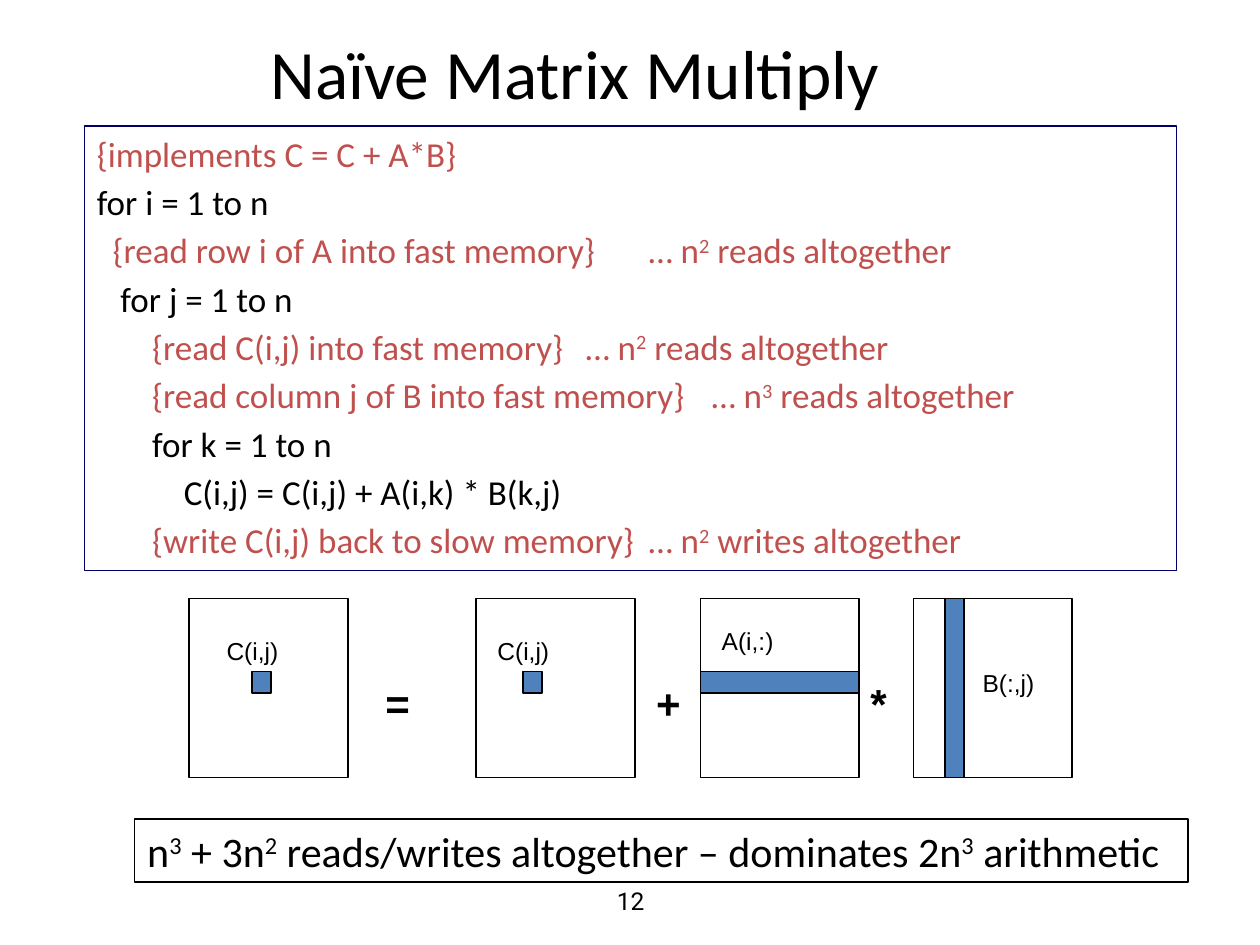
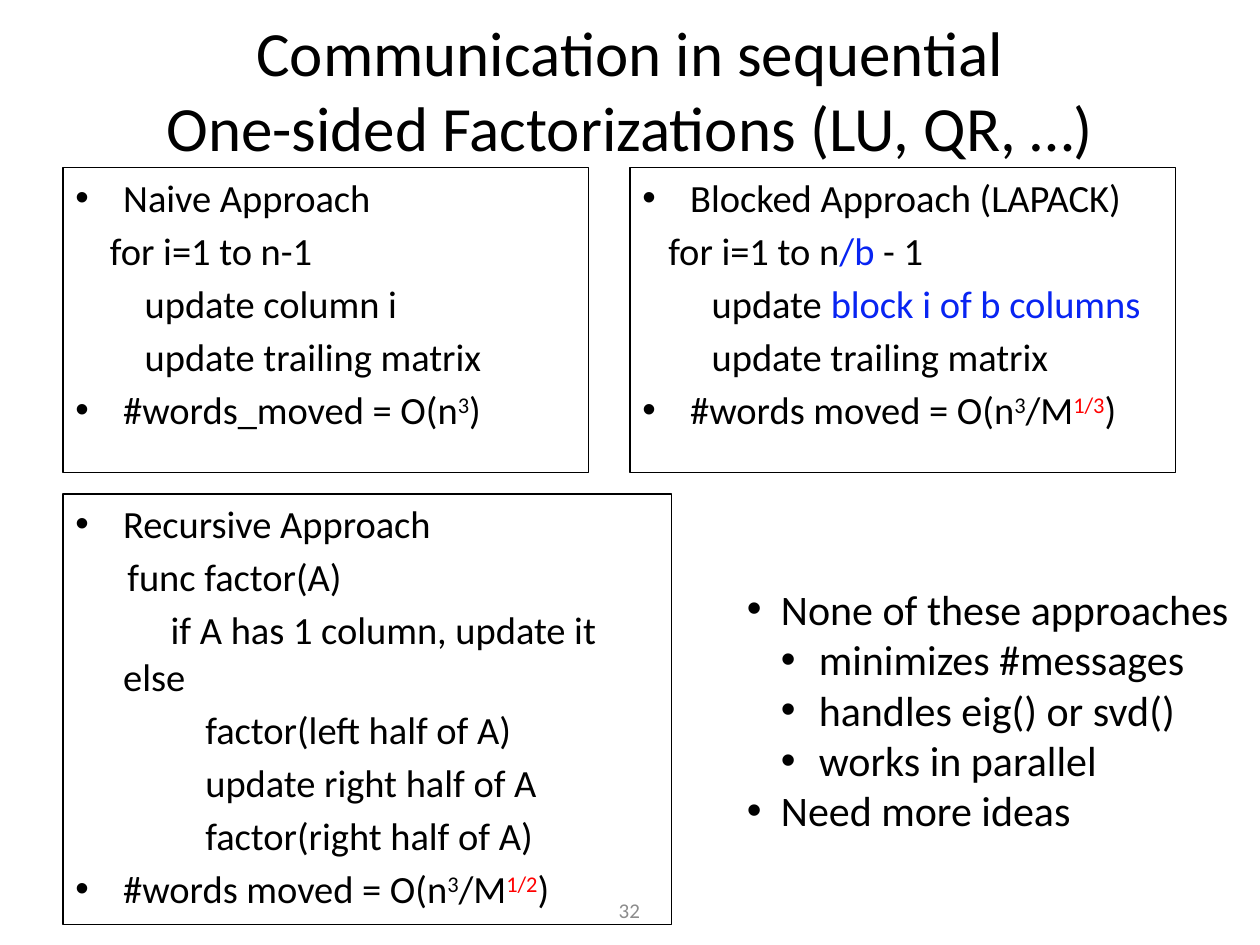
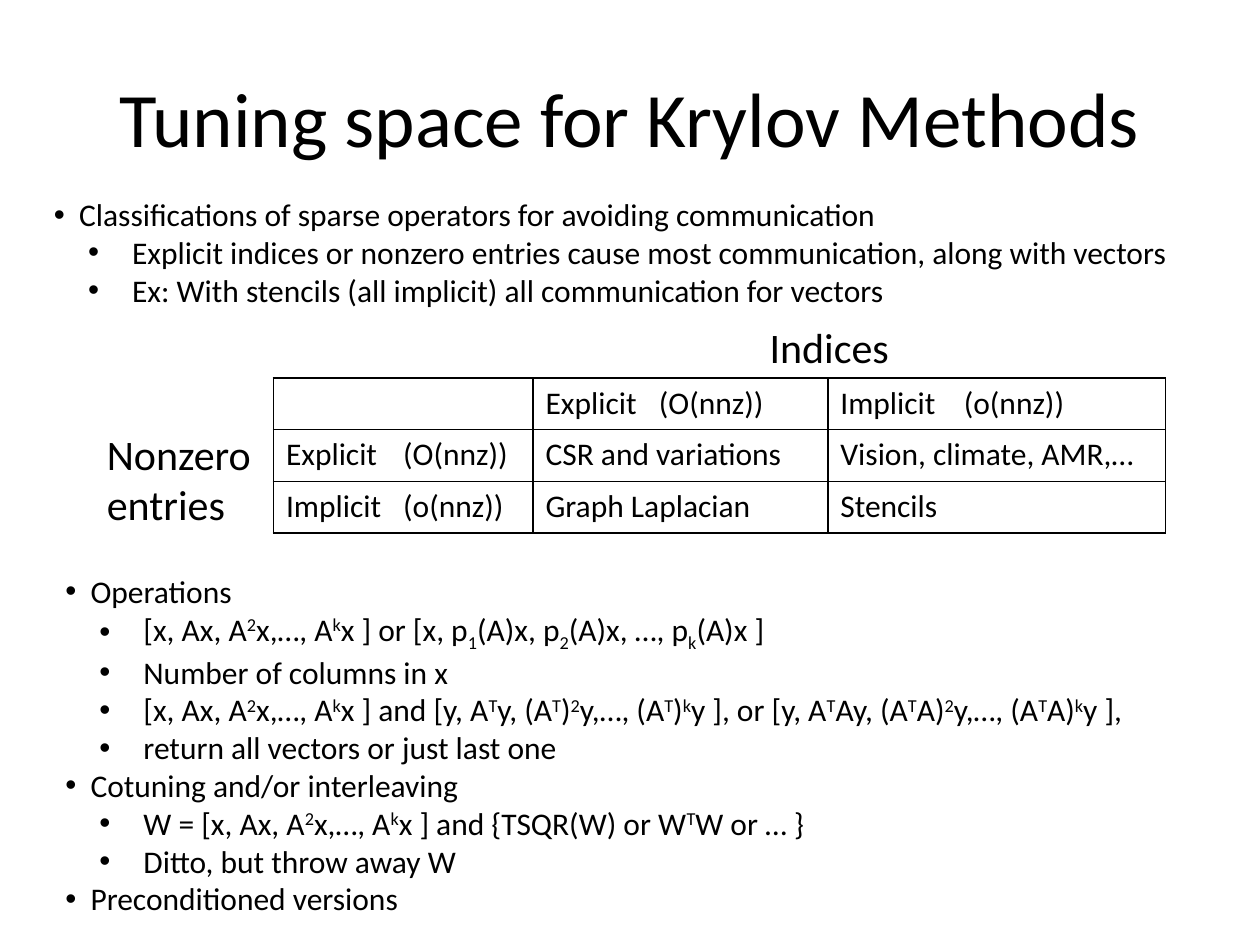
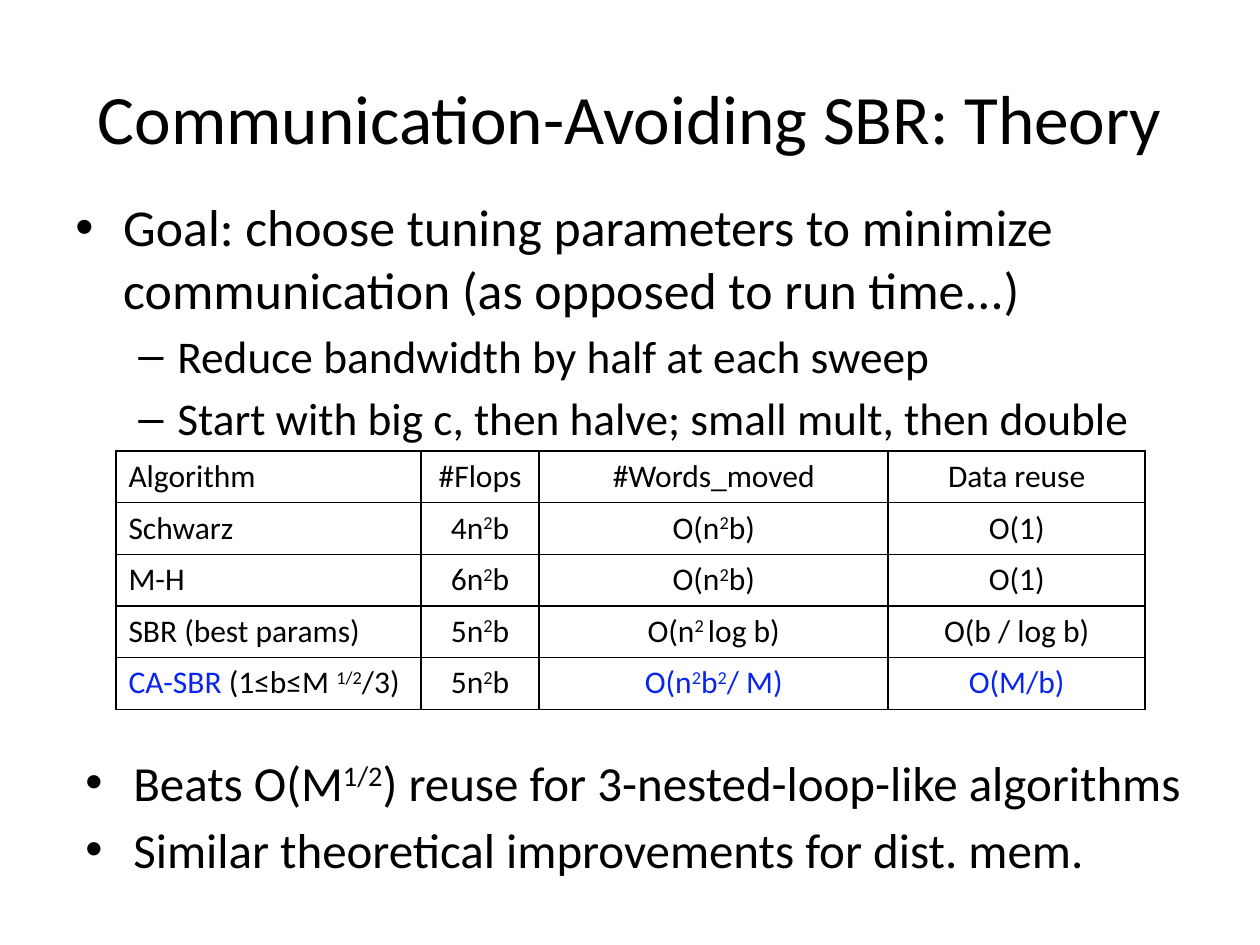
from itertools import groupby

from lxml import etree
from pptx import Presentation
from pptx import util as u
from pptx.dml.color import RGBColor
from pptx.enum import shapes, text
from pptx.oxml.ns import qn

BLACK, WHITE, GREY = "000000", "FFFFFF", "8C8C8C"
BLUE, RED, BRICK = "0824F2", "FF0000", "C0504D"
NAVY, STEEL = "000066", "4F81BD"

# Inline marks, each switching a style on and off
BASELINES = {"^": 30000, "~": -25000}
COLORS = {"|": BLUE, "¦": RED}

# Paragraph styles: bullet, left indent and hanging part in inches
PLAIN = {}
BULLET = dict(bullet="•", left=0.38, hang=0.38)
DASH = dict(bullet="–", left=0.81, hang=0.31)
CODE = dict(left=0.38, hang=0.38)
NOTE = dict(CODE, color=BRICK, tab=5.02)
OUTER = dict(bullet="•", left=0.2, hang=0.2)
INNER = dict(bullet="•", left=0.62, hang=0.35)
WIDE_OUTER = dict(bullet="•", left=0.27, hang=0.27)
WIDE_INNER = dict(bullet="•", left=0.57, hang=0.3)
CENTER = dict(align=text.PP_ALIGN.CENTER)


def rgb(value):
    return RGBColor.from_string(value)


def marked(content):
    """Yield each character with the marks that are switched on."""
    active = frozenset()
    for char in content:
        if char in BASELINES or char in COLORS:
            active ^= {char}
        else:
            yield active, char


class Pages:
    def __init__(self):
        self.deck = Presentation()
        self.deck.slide_width, self.deck.slide_height = u.Inches(10), u.Inches(7.5)
        self.page = None

    def new_page(self, title, size, at=(0.5, 0.3, 9, 1.25)):
        self.page = self.deck.slides.add_slide(self.deck.slide_layouts[6])
        self.text(at, [(title, CENTER)], size, anchor=text.MSO_ANCHOR.MIDDLE)

    def number(self, value, at, size, font="Calibri", color=BLACK):
        self.text(at, [(value, dict(CENTER, color=color))], size, font,
                  anchor=text.MSO_ANCHOR.MIDDLE)

    def paragraph(self, para, content, style, size, font="Calibri", bold=False):
        props = para._p.get_or_add_pPr()
        if "left" in style:
            props.set("marL", str(u.Inches(style["left"])))
            props.set("indent", str(-u.Inches(style["hang"])))
        if "bullet" in style:
            etree.SubElement(props, qn("a:buFont"), typeface="Arial")
            etree.SubElement(props, qn("a:buChar"), char=style["bullet"])
        if "tab" in style:
            tabs = etree.SubElement(props, qn("a:tabLst"))
            etree.SubElement(tabs, qn("a:tab"), pos=str(u.Inches(style["tab"])), algn="l")
        para.alignment = style.get("align", text.PP_ALIGN.LEFT)
        para.font.name, para.font.size, para.font.bold = font, u.Pt(size), bold
        para.font.color.rgb = rgb(style.get("color", BLACK))
        for row, line in enumerate(content.split("\n")):
            if row:
                para.add_line_break()
            for marks, chars in groupby(marked(line), key=lambda pair: pair[0]):
                span = para.add_run()
                span.text = "".join(char for _, char in chars)
                for mark in marks:
                    if mark in COLORS:
                        span.font.color.rgb = rgb(COLORS[mark])
                    else:
                        span._r.get_or_add_rPr().set("baseline", str(BASELINES[mark]))

    def fill_frame(self, frame, lines, size, font="Calibri", bold=False, spaced=False):
        """Lines are (text, style) or (text, style, size)."""
        frame.word_wrap = True
        for index, (content, style, *own_size) in enumerate(lines):
            para = frame.add_paragraph() if index else frame.paragraphs[0]
            points = own_size[0] if own_size else size
            self.paragraph(para, content, style, points, font, bold)
            if index and spaced:
                para.space_before = u.Pt(round(0.18 * points, 1))

    def text(self, at, lines, size, font="Calibri", bold=False, spaced=False,
             anchor=text.MSO_ANCHOR.TOP):
        box = self.page.shapes.add_textbox(*map(u.Inches, at))
        box.text_frame.vertical_anchor = anchor
        self.fill_frame(box.text_frame, lines, size, font, bold, spaced)

    def box(self, at, lines=(), size=22, fill=None, line=BLACK, width=0.75):
        box = self.page.shapes.add_shape(shapes.MSO_SHAPE.RECTANGLE, *map(u.Inches, at))
        box.shadow.inherit = False
        box.line.color.rgb, box.line.width = rgb(line), u.Pt(width)
        if fill:
            box.fill.solid()
            box.fill.fore_color.rgb = rgb(fill)
        else:
            box.fill.background()
        box.text_frame.vertical_anchor = text.MSO_ANCHOR.TOP
        self.fill_frame(box.text_frame, lines, size, spaced=True)

    def table(self, left, top, widths, rows, styles, row_height=0.41, size=18):
        """One paragraph style per column."""
        grid = self.page.shapes.add_table(
            len(rows), len(widths), u.Inches(left), u.Inches(top),
            u.Inches(sum(widths)), u.Inches(row_height * len(rows))).table
        grid.first_row = grid.horz_banding = False
        for column, width in zip(grid.columns, widths):
            column.width = u.Inches(width)
        for r, row in enumerate(rows):
            grid.rows[r].height = u.Inches(row_height)
            for c, content in enumerate(row):
                cell = grid.cell(r, c)
                self.borders(cell)
                cell.fill.solid()
                cell.fill.fore_color.rgb = rgb(WHITE)
                self.paragraph(cell.text_frame.paragraphs[0], content, styles[c], size)

    def borders(self, cell):
        props = cell._tc.get_or_add_tcPr()
        for side in ("a:lnL", "a:lnR", "a:lnT", "a:lnB"):
            edge = etree.SubElement(props, qn(side), w=str(u.Pt(1)))
            fill = etree.SubElement(edge, qn("a:solidFill"))
            etree.SubElement(fill, qn("a:srgbClr"), val=BLACK)


def naive_multiply(pages):
    pages.new_page("Naïve Matrix Multiply", 39.6, (0.88, 0.34, 7.37, 0.46))
    pages.number("12", (3.42, 6.95, 3.17, 0.4), 14, "Roboto")
    pages.box((0.67, 1, 8.67, 3.53), [
        ("{implements C = C + A*B}", NOTE),
        ("for i = 1 to n", CODE),
        ("  {read row i of A into fast memory}\t… n^2^ reads altogether", NOTE),
        ("   for j = 1 to n", CODE),
        ("       {read C(i,j) into fast memory}\t… n^2^ reads altogether", NOTE),
        ("       {read column j of B into fast memory}\t… n^3^ reads altogether", NOTE),
        ("       for k = 1 to n", CODE),
        ("           C(i,j) = C(i,j) + A(i,k) * B(k,j)", CODE),
        ("       {write C(i,j) back to slow memory}\t… n^2^ writes altogether", NOTE),
    ], 20, line=NAVY)

    # Matrices: left edge, highlighted part, label and label corner
    top, width, height = 4.75, 1.26, 1.42
    matrices = [
        (1.5, (2, 5.33, 0.15, 0.17), "C(i,j)", (1.7, 5)),
        (3.78, (4.15, 5.33, 0.15, 0.17), "C(i,j)", (3.85, 5)),
        (5.56, (5.56, 5.33, width, 0.17), "A(i,:)", (5.63, 4.92)),
        (7.25, (7.5, top, 0.15, height), "B(:,j)", (7.7, 5.25)),
    ]
    for left, part, label, corner in matrices:
        pages.box((left, top, width, height), width=1)
        pages.box(part, fill=STEEL, width=1)
        pages.text((*corner, 0.74, 0.33), [(label, PLAIN)], 14, "Arial")
    for left, operator in ((2.96, "="), (5.11, "+"), (6.81, "*")):
        pages.text((left, 5.33, 0.4, 0.5), [(operator, PLAIN)], 24, "Arial", bold=True)

    pages.box((1.07, 6.5, 8.36, 0.5), [
        ("n^3^ + 3n^2^ reads/writes altogether – dominates 2n^3^ arithmetic", PLAIN)], 24)


def factorizations(pages):
    pages.new_page("Communication in sequential\nOne-sided Factorizations (LU, QR, …)",
                   36, (0.25, 0.08, 9.5, 1.25))
    pages.box((0.5, 1.33, 4.17, 2.42), [
        ("Naive Approach", BULLET),
        ("    for i=1 to n-1", CODE),
        ("        update column i", CODE),
        ("        update trailing matrix", CODE),
        ("#words_moved = O(n^3^)", BULLET),
    ])
    pages.number("32", (3.83, 7.02, 2.33, 0.4), 12, color=GREY)
    pages.box((5, 1.33, 4.33, 2.42), [
        ("Blocked Approach (LAPACK)", BULLET),
        ("   for i=1 to n|/b |- 1", CODE),
        ("        update |block i of b columns|", CODE),
        ("        update trailing matrix", CODE),
        ("#words moved = O(n^3^/M^¦1/3¦^)", BULLET),
    ])
    pages.box((0.5, 3.92, 4.83, 3.42), [
        ("Recursive Approach", BULLET),
        ("      func factor(A)", CODE),
        ("           if A has 1 column, update it else", CODE),
        ("               factor(left half of A)", CODE),
        ("               update right half of A", CODE),
        ("               factor(right half of A)", CODE),
        ("#words moved = O(n^3^/M^¦1/2¦^)", BULLET),
    ])
    pages.text((5.83, 4.58, 4.17, 2.12), [
        ("None of these approaches", WIDE_OUTER),
        ("minimizes #messages", WIDE_INNER),
        ("handles eig() or svd()", WIDE_INNER),
        ("works in parallel", WIDE_INNER),
        ("Need more ideas", WIDE_OUTER),
    ], 24)


def krylov(pages):
    pages.new_page("Tuning space for Krylov Methods", 44)
    pages.table(2.17, 3, (2.06, 2.34, 2.68), [
        ("", "Explicit\t(O(nnz))", "Implicit\t(o(nnz))"),
        ("Explicit\t(O(nnz))", "CSR and variations", "Vision, climate, AMR,…"),
        ("Implicit\t(o(nnz))", "Graph Laplacian", "Stencils"),
    ], [dict(tab=0.93), dict(tab=0.9), dict(tab=0.98)])
    pages.text((0.75, 3.35, 1.43, 0.91), [("Nonzero", PLAIN), ("entries", PLAIN)], 24)
    pages.text((6.01, 2.5, 1.16, 0.5), [("Indices", PLAIN)], 24)
    pages.text((0.33, 1.5, 9.39, 1.01), [
        ("Classifications of sparse operators for avoiding communication", OUTER),
        ("Explicit indices or nonzero entries cause most communication, along with vectors",
         INNER),
        ("Ex: With stencils (all implicit) all communication for vectors", INNER),
    ], 18)
    powers = "[x, Ax, A^2^x,…, A^k^x ]"
    pages.text((0.42, 4.49, 8.79, 2.83), [
        ("Operations", OUTER),
        (powers + " or [x, p~1~(A)x, p~2~(A)x, …, p~k~(A)x ]", INNER),
        ("Number of columns in x", INNER),
        (powers + " and [y, A^T^y, (A^T^)^2^y,…, (A^T^)^k^y ],"
         " or [y, A^T^Ay, (A^T^A)^2^y,…, (A^T^A)^k^y ],", INNER),
        ("return all vectors or just last one", INNER),
        ("Cotuning and/or interleaving", OUTER),
        ("W = " + powers + " and {TSQR(W) or W^T^W or … }", INNER),
        ("Ditto, but throw away W", INNER),
        ("Preconditioned versions", OUTER),
    ], 18)


def band_reduction(pages):
    pages.new_page("Communication-Avoiding SBR: Theory", 39.6)
    pages.text((0.5, 1.5, 9.5, 2), [
        ("Goal: choose tuning parameters to minimize communication"
         " (as opposed to run time...)", BULLET, 29.6),
        ("Reduce bandwidth by half at each sweep", DASH),
        ("Start with big c, then halve; small mult, then double", DASH),
    ], 25.9, spaced=True)
    pages.table(0.92, 3.58, (2.42, 0.94, 2.77, 2.04), [
        ("Algorithm", "#Flops", "#Words_moved", "Data reuse"),
        ("Schwarz", "4n^2^b", "O(n^2^b)", "O(1)"),
        ("M-H", "6n^2^b", "O(n^2^b)", "O(1)"),
        ("SBR (best params)", "5n^2^b", "O(n^2 ^log b)", "O(b / log b)"),
        ("|CA-SBR| (1≤b≤M ^1/2^/3)", "5n^2^b", "|O(n^2^b^2^/ M)|", "|O(M/b)|"),
    ], [PLAIN, CENTER, CENTER, CENTER])
    pages.text((0.58, 5.92, 9.42, 1.17), [
        ("Beats O(M^1/2^) reuse for 3-nested-loop-like algorithms", BULLET),
        ("Similar theoretical improvements for dist. mem.", BULLET),
    ], 28, spaced=True)


def main():
    pages = Pages()
    for build in (naive_multiply, factorizations, krylov, band_reduction):
        build(pages)
    pages.deck.save("out.pptx")


if __name__ == "__main__":
    main()
